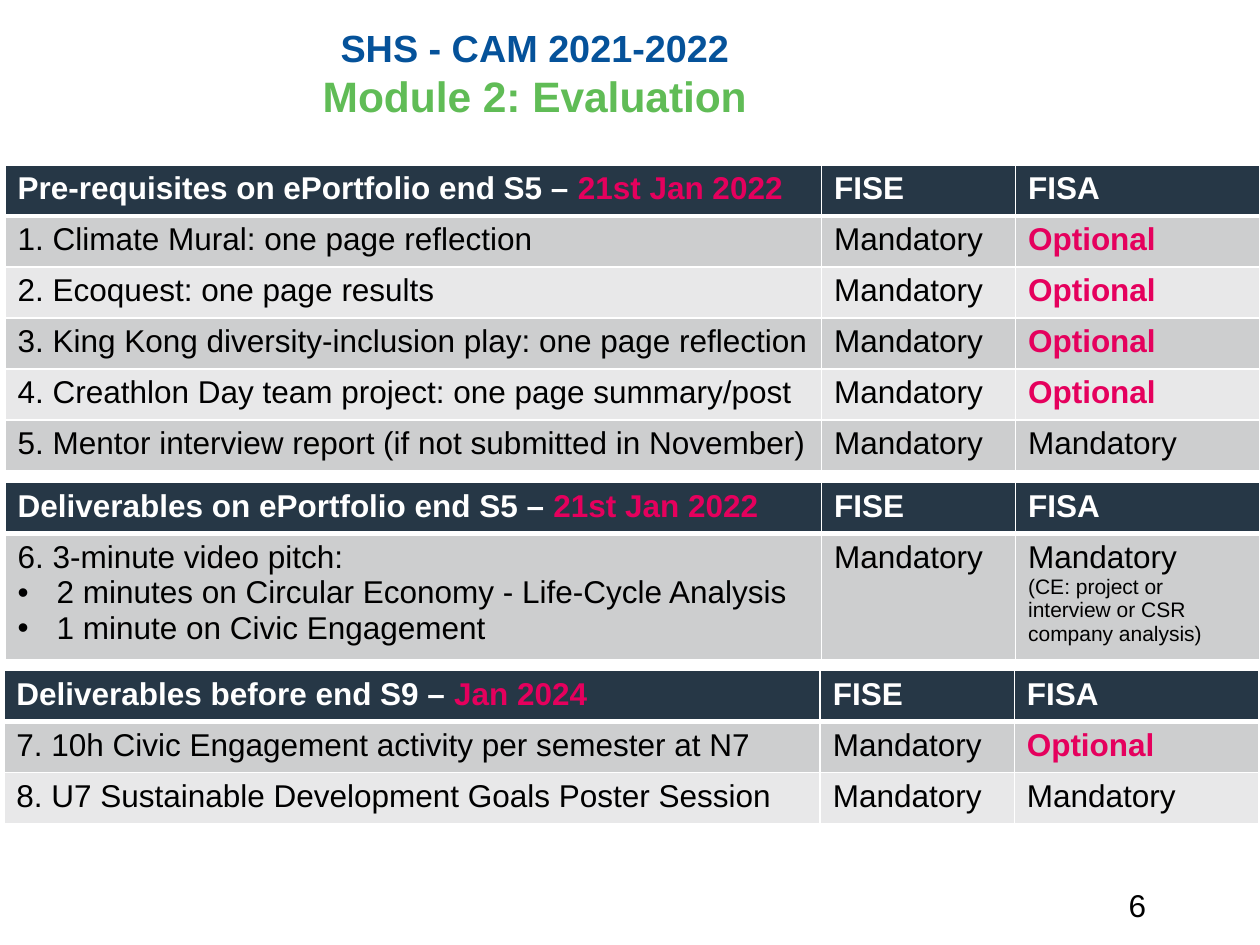
from dataclasses import dataclass

from lxml.etree import SubElement
from pptx import Presentation
from pptx.dml.color import RGBColor
from pptx.enum.text import MSO_ANCHOR, MSO_AUTO_SIZE, PP_ALIGN
from pptx.oxml.ns import qn
from pptx.util import Inches, Pt


@dataclass(frozen=True)
class Theme:
    font: str = "Arial"
    blue: str = "05529A"
    green: str = "60BC56"
    navy: str = "263746"
    pink: str = "E5005D"
    white: str = "FFFFFF"
    black: str = "000000"
    bands: tuple = ("CDCECF", "E8E8E9")
    heading: float = 21.6
    subheading: float = 24.3
    body: float = 18
    note: float = 12
    line: float = 1
    header_line: float = 3


THEME = Theme()
COLUMNS = (64.8, 15.4, 19.4)
ROW_HEIGHT = 5.4

PLAIN = dict(color=THEME.black, size=THEME.body, bold=False)
NOTE = PLAIN | dict(size=THEME.note)
HEADER = PLAIN | dict(color=THEME.white, bold=True)
ACCENT = HEADER | dict(color=THEME.pink)
HEADING = HEADER | dict(color=THEME.blue, size=THEME.heading)
SUBHEADING = HEADER | dict(color=THEME.green, size=THEME.subheading)

MANDATORY = [("Mandatory", PLAIN)]
OPTIONAL = [("Optional", ACCENT)]


class Sheet:
    def __init__(self, presentation, theme):
        self.theme = theme
        self.width = presentation.slide_width
        self.height = presentation.slide_height
        self.slide = presentation.slides.add_slide(presentation.slide_layouts[5])

    def across(self, percent):
        return round(self.width * percent / 100)

    def down(self, percent):
        return round(self.height * percent / 100)

    def box(self, left, top, width, height):
        return self.across(left), self.down(top), self.across(width), self.down(height)

    def run(self, paragraph, text, style):
        run = paragraph.add_run()
        run.text = text
        run.font.color.rgb = RGBColor.from_string(style["color"])
        values = dict(name=self.theme.font, size=Pt(style["size"]), bold=style["bold"])
        for name, value in values.items():
            setattr(run.font, name, value)

    def title(self, place, lines):
        shape = self.slide.shapes.title
        for name, value in zip(("left", "top", "width", "height"), self.box(*place)):
            setattr(shape, name, value)
        frame = shape.text_frame
        values = dict(auto_size=MSO_AUTO_SIZE.NONE, word_wrap=True,
                      vertical_anchor=MSO_ANCHOR.MIDDLE, margin_bottom=Inches(0.4))
        for name, value in values.items():
            setattr(frame, name, value)
        paragraph = frame.paragraphs[0]
        paragraph.alignment = PP_ALIGN.CENTER
        for index, (text, style) in enumerate(lines):
            if index:
                paragraph.add_line_break()
            self.run(paragraph, text, style)

    def text(self, place, text, style):
        frame = self.slide.shapes.add_textbox(*self.box(*place)).text_frame
        frame.word_wrap = True
        self.run(frame.paragraphs[0], text, style)

    def bullet(self, paragraph):
        properties = paragraph._p.get_or_add_pPr()
        indent = Inches(0.31)
        properties.set("marL", str(indent))
        properties.set("indent", str(-indent))
        SubElement(properties, qn("a:buFont"), typeface=self.theme.font)
        SubElement(properties, qn("a:buChar"), char="•")

    def borders(self, cell, row):
        properties = cell._tc.get_or_add_tcPr()
        widths = dict.fromkeys("LRTB", self.theme.line)
        if row < 2:
            widths["BT"[row]] = self.theme.header_line
        for side, width in widths.items():
            line = SubElement(properties, qn(f"a:ln{side}"), w=str(Pt(width)))
            fill = SubElement(line, qn("a:solidFill"))
            SubElement(fill, qn("a:srgbClr"), val=self.theme.white)

    def cell(self, cell, row, paragraphs):
        self.borders(cell, row)
        color = self.theme.bands[(row - 1) % 2] if row else self.theme.navy
        cell.fill.solid()
        cell.fill.fore_color.rgb = RGBColor.from_string(color)
        frame = cell.text_frame
        for index, runs in enumerate(paragraphs):
            paragraph = frame.add_paragraph() if index else frame.paragraphs[0]
            for text, style in runs:
                if text.startswith("• "):
                    self.bullet(paragraph)
                self.run(paragraph, text.removeprefix("• "), style)

    def table(self, left, top, heading, date, entries):
        header = [[[(heading, HEADER), (date, ACCENT)]],
                  [[("FISE", HEADER)]], [[("FISA", HEADER)]]]
        rows = [header]
        for lines, *requirements in entries:
            task = [[(line, PLAIN)] for line in lines.split("\n")]
            rows.append([task, *requirements])
        place = self.box(left, top, sum(COLUMNS), ROW_HEIGHT * len(rows))
        table = self.slide.shapes.add_table(len(rows), len(COLUMNS), *place).table
        for column, width in zip(table.columns, COLUMNS):
            column.width = self.across(width)
        for index, contents in enumerate(rows):
            table.rows[index].height = self.down(ROW_HEIGHT)
            for column, paragraphs in enumerate(contents):
                self.cell(table.cell(index, column), index, paragraphs)


def main():
    presentation = Presentation()
    presentation.slide_width = Inches(10)
    presentation.slide_height = Inches(7.5)
    sheet = Sheet(presentation, THEME)
    sheet.text((88.6, 93.07, 10.7, 5.33), "6", PLAIN)
    sheet.title((-4.3, 4.8, 93.5, 10.53),
                [("SHS - CAM 2021-2022", HEADING), ("Module 2: Evaluation", SUBHEADING)])
    sheet.table(0.4, 17.47, "Pre-requisites on ePortfolio end S5 – ", "21st Jan 2022", [
        ("1. Climate Mural: one page reflection", [MANDATORY], [OPTIONAL]),
        ("2. Ecoquest: one page results", [MANDATORY], [OPTIONAL]),
        ("3. King Kong diversity-inclusion play: one page reflection", [MANDATORY], [OPTIONAL]),
        ("4. Creathlon Day team project: one page summary/post", [MANDATORY], [OPTIONAL]),
        ("5. Mentor interview report (if not submitted in November)", [MANDATORY], [MANDATORY]),
    ])
    sheet.table(0.4, 51.07, "Deliverables on ePortfolio end S5 – ", "21st Jan 2022", [
        ("6. 3-minute video pitch:\n"
         "• 2 minutes on Circular Economy - Life-Cycle Analysis\n"
         "• 1 minute on Civic Engagement",
         [MANDATORY],
         [MANDATORY, [("(CE: project or interview or CSR company analysis)", NOTE)]]),
    ])
    sheet.table(0.3, 70.93, "Deliverables before end S9 – ", "Jan 2024", [
        ("7. 10h Civic Engagement activity per semester at N7", [MANDATORY], [OPTIONAL]),
        ("8. U7 Sustainable Development Goals Poster Session", [MANDATORY], [MANDATORY]),
    ])
    presentation.save("out.pptx")


if __name__ == "__main__":
    main()
